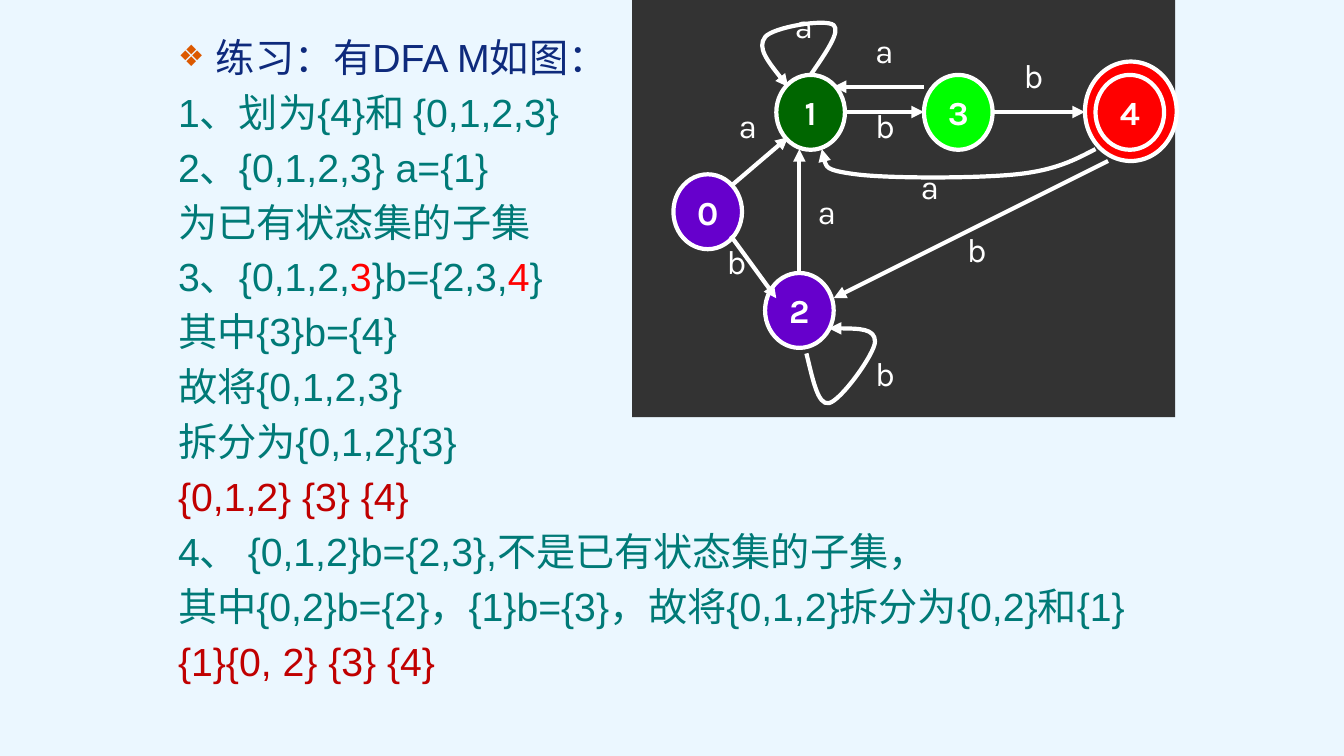
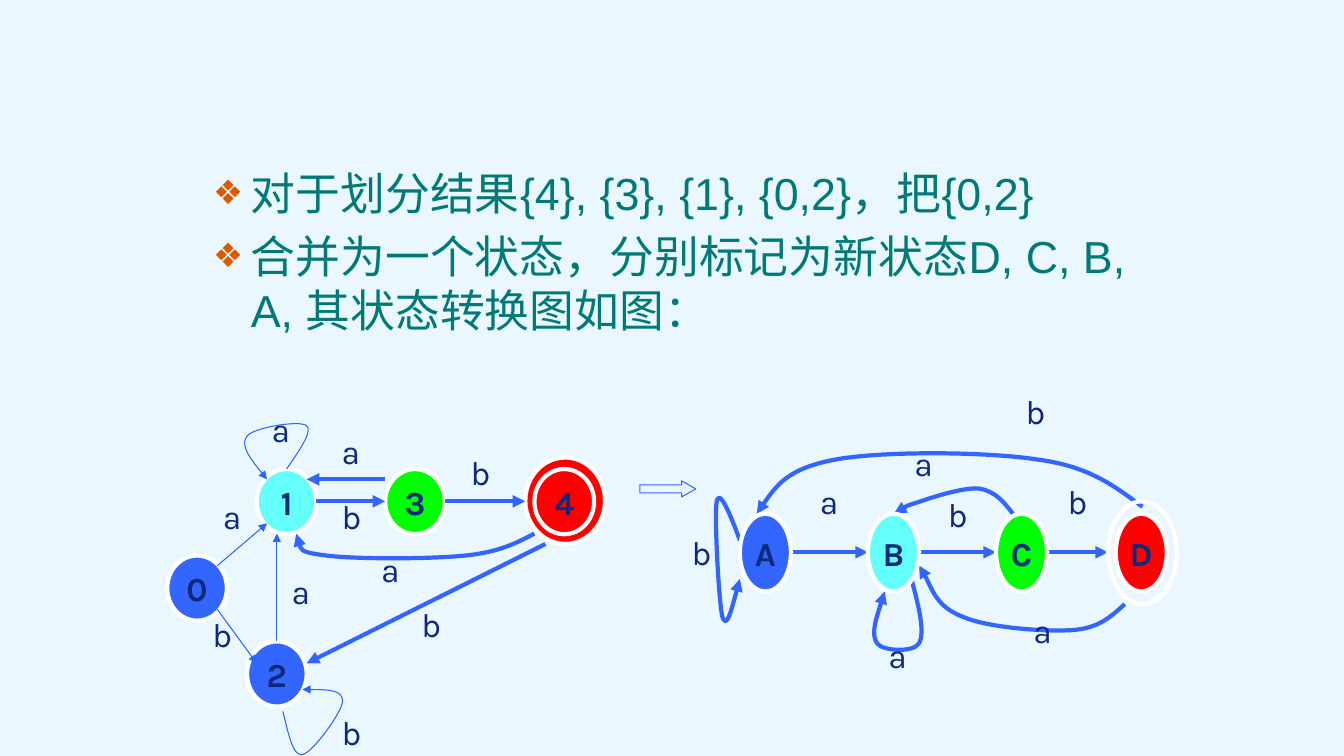
from collections import namedtuple
from dataclasses import dataclass

from lxml.etree import SubElement
from pptx import Presentation
from pptx.dml.color import RGBColor
from pptx.enum.shapes import MSO_CONNECTOR as Wire, MSO_SHAPE as Form
from pptx.enum.text import MSO_ANCHOR as Anchor, MSO_AUTO_SIZE as Fit, PP_ALIGN as Align
from pptx.oxml.ns import qn
from pptx.util import Pt


@dataclass(frozen=True)
class Theme:
    back: str = "EBF7FF"
    panel: str = "333333"
    navy: str = "0E2A7C"
    teal: str = "007A77"
    wine: str = "C00000"
    red: str = "FF0000"
    lime: str = "00FF00"
    green: str = "006600"
    violet: str = "6600CC"
    blue: str = "3366FF"
    deep: str = "2D61FE"
    cyan: str = "64FFFB"
    white: str = "FFFFFF"
    orange: str = "DC5900"
    body: str = "Arial"
    label: str = "Karla"
    small: int = 28
    large: int = 32
    tag: int = 24
    thick: float = 3
    thin: float = 0.75


T = Theme()
rgb = RGBColor.from_string

Page = namedtuple("Page", "box size rows")
State = namedtuple("State", "text hue x y w h")
Link = namedtuple("Link", "thin points")
Mark = namedtuple("Mark", "text mid top")
View = namedtuple("View", "slide items left top scale hues ink fine font")


def trace(shape, colour, width):
    """Style a link as an arrow without shadow."""
    shape.line.color.rgb = rgb(colour)
    shape.line.width = Pt(width)
    props = shape.element.spPr
    SubElement(props.find(qn("a:ln")), qn("a:tailEnd"), type="triangle")
    SubElement(props, qn("a:effectLst"))


def label(shape, text, colour, bold, anchor):
    frame = shape.text_frame
    frame.word_wrap = False
    frame.vertical_anchor = anchor
    frame.text = text
    line = frame.paragraphs[0]
    line.alignment = Align.CENTER
    for run in line.runs:
        run.font.name = T.label
        run.font.size = Pt(T.tag)
        run.font.bold = bold
        run.font.color.rgb = rgb(colour)


# Body text: each row is (bulleted, [(text, colour), ...])
pages = [
    Page((120, 20, 720, 520), T.small, [
        (True, [("练习：有DFA M如图：", T.navy)]),
        (False, [("1、划为{4}和 {0,1,2,3}", T.teal)]),
        (False, [("2、{0,1,2,3} a={1}", T.teal)]),
        (False, [("为已有状态集的子集", T.teal)]),
        (False, [("3、{0,1,2,", T.teal), ("3", T.red), ("}b={2,3,", T.teal),
                 ("4", T.red), ("}", T.teal)]),
        (False, [("其中{3}b={4}", T.teal)]),
        (False, [("故将{0,1,2,3}", T.teal)]),
        (False, [("拆分为{0,1,2}{3}", T.teal)]),
        (False, [("{0,1,2} {3} {4}", T.wine)]),
        (False, [("4、 {0,1,2}b={2,3},不是已有状态集的子集，", T.teal)]),
        (False, [("其中{0,2}b={2}，{1}b={3}，故将{0,1,2}拆分为{0,2}和{1}", T.teal)]),
        (False, [("{1}{0, 2} {3} {4}", T.wine)]),
    ]),
    Page((145, 115, 695, 364), T.large, [
        (True, [("对于划分结果{4}, {3}, {1}, {0,2}，把{0,2}", T.teal)]),
        (True, [("合并为一个状态，分别标记为新状态D, C, B, A, 其状态转换图如图：", T.teal)]),
    ]),
]

deck = Presentation()
deck.slide_width, deck.slide_height = Pt(960), Pt(540)
ground = deck.slide_master.background.fill
ground.solid()
ground.fore_color.rgb = rgb(T.back)

for page in pages:
    slide = deck.slides.add_slide(deck.slide_layouts[1])
    title = slide.shapes.title.element
    title.getparent().remove(title)
    body = slide.placeholders[1]
    body.left, body.top, body.width, body.height = map(Pt, page.box)
    frame = body.text_frame
    frame.auto_size = Fit.NONE
    for i, (dot, pieces) in enumerate(page.rows):
        para = frame.add_paragraph() if i else frame.paragraphs[0]
        para.space_before = Pt(page.size * 0.2 if i else 0)
        props = para._p.get_or_add_pPr()
        props.set("marL", str(Pt(27 if dot else 0)))
        props.set("indent", str(Pt(-27 if dot else 0)))
        if dot:
            tint = SubElement(props, qn("a:buClr"))
            SubElement(tint, qn("a:srgbClr"), val=T.orange)
            SubElement(props, qn("a:buSzPct"), val="75000")
            SubElement(props, qn("a:buChar"), char="❖")
        else:
            SubElement(props, qn("a:buNone"))
        for text, colour in pieces:
            run = para.add_run()
            run.text = text
            run.font.name = T.body
            run.font.size = Pt(page.size)
            run.font.color.rgb = rgb(colour)

first, second = deck.slides

panel = first.shapes.add_shape(Form.RECTANGLE, Pt(451.5), Pt(0), Pt(388), Pt(298))
panel.fill.solid()
panel.fill.fore_color.rgb = rgb(T.panel)
panel.line.fill.background()
panel.shadow.inherit = False

arrow = second.shapes.add_shape(Form.RIGHT_ARROW, Pt(457), Pt(343.5), Pt(40), Pt(11.5))
arrow.adjustments[1] = 0.88
arrow.fill.solid()
arrow.fill.fore_color.rgb = rgb(T.back)
arrow.line.color.rgb = rgb(T.blue)
arrow.line.width = Pt(T.thin)
arrow.shadow.inherit = False

# A link with two points is straight; a longer one is a chain of cubic curves
full = [
    State("", "end", 775, 44, 65.5, 71),
    State("0", "start", 481, 124.5, 49, 53.5),
    State("2", "start", 546.5, 195, 49, 53.5),
    State("3", "next", 660, 53.5, 49, 53.5),
    State("1", "hub", 554.5, 53.5, 49, 53.5),
    State("4", None, 782.5, 53.5, 49, 53.5),
    Link(True, [(522, 133), (563, 98)]),
    Link(True, [(522, 168.5), (554.5, 213)]),
    Link(True, [(571, 195), (571, 106.5)]),
    Link(False, [(603.5, 80), (660, 80)]),
    Link(False, [(709, 80), (775, 80)]),
    Link(False, [(791.5, 115), (595.5, 213)]),
    Link(False, [(660, 62), (595.5, 62)]),
    Link(True, [(579, 53.5), (590, 37.5), (600.5, 22.5), (595.5, 18), (590, 13),
                (551.5, 19.5), (546.5, 26.5), (540.5, 34), (551.5, 48), (563, 62)]),
    Link(False, [(782.5, 106.5), (768, 114), (754.5, 121.5), (726, 124.5), (697, 127.5),
                 (634.5, 127.5), (611.5, 124.5), (588, 121.5), (587.5, 114), (587, 106.5)]),
    Link(True, [(576, 252.5), (580.5, 270.5), (584, 289.5), (592, 288), (600.5, 286.5),
                (625, 252.5), (625, 244), (625, 234.5), (608.5, 234.5), (592, 234.5)]),
    Mark("b", 631.5, 248.5),
    Mark("b", 525.5, 168.5),
    Mark("b", 697, 160),
    Mark("b", 631.5, 71.5),
    Mark("b", 737.5, 35.5),
    Mark("a", 534, 71.5),
    Mark("a", 574, 0),
    Mark("a", 631.5, 18),
    Mark("a", 664, 115),
    Mark("a", 590.5, 133),
]

merged = [
    Link(False, [(565, 394.5), (620, 394.5)]),
    Link(False, [(656.5, 394.5), (711.5, 394.5)]),
    Link(False, [(748, 394.5), (791.5, 394.5)]),
    Link(False, [(528.5, 386), (521.5, 367), (514, 349), (512, 358), (510, 367),
                 (513.5, 431.5), (516, 440.5), (519, 450), (523.5, 431.5), (528.5, 413.5)]),
    Link(False, [(816, 362), (797, 348), (779, 333.5), (742.5, 328.5), (705.5, 322.5),
                 (629.5, 322), (595.5, 328.5), (562.5, 335), (551.5, 350.5), (540.5, 367)]),
    Link(False, [(651, 413.5), (656, 432), (661, 451.5), (656.5, 459.5), (652.5, 466.5),
                 (630, 465), (626.5, 459.5), (622, 453), (627, 438), (632, 422.5)]),
    Link(False, [(803.5, 431.5), (794, 440), (785.5, 448.5), (767, 450), (747.5, 451.5),
                 (705.5, 448.5), (687.5, 440.5), (669, 433.5), (661.5, 410.5), (656.5, 404)]),
    Link(False, [(723.5, 367), (717, 358.5), (710.5, 350.5), (699, 349), (688.5, 348),
                 (666.5, 355), (656.5, 358.5), (646.5, 361.5), (642, 364.5), (638.5, 367)]),
    Mark("a", 592, 340),
    Mark("a", 659.5, 312.5),
    Mark("a", 744.5, 432),
    Mark("a", 641, 450),
    Mark("b", 500.5, 376.5),
    Mark("b", 739, 276),
    Mark("b", 769, 340),
    Mark("b", 683.5, 349),
    State("D", "end", 797, 367, 36.5, 55.5),
    State("A", "start", 528.5, 367, 36.5, 55.5),
    State("C", "next", 711.5, 367, 36.5, 55.5),
    State("B", "hub", 620, 367, 36.5, 55.5),
    State("", None, 791.5, 358, 49, 73.5),
]

dark = {"start": T.violet, "hub": T.green, "next": T.lime, "end": T.red}
light = {"start": T.blue, "hub": T.cyan, "next": T.lime, "end": T.red}
views = [
    View(first, full, 0, 0, 1, dark, T.white, (T.white, T.thick), T.white),
    View(second, full, -299, 288.5, 0.87, light, T.blue, (T.deep, T.thin), T.navy),
    View(second, merged, 0, 0, 1, light, T.blue, (T.blue, T.thick), T.navy),
]

for view in views:
    group = view.slide.shapes.add_group_shape().shapes
    scale = view.scale
    for item in view.items:
        if isinstance(item, State):
            node = group.add_shape(
                Form.OVAL, Pt(view.left + item.x * scale), Pt(view.top + item.y * scale),
                Pt(item.w * scale), Pt(item.h * scale))
            node.shadow.inherit = False
            node.line.color.rgb = rgb(T.white)
            node.line.width = Pt(T.thick)
            if item.hue:
                node.fill.solid()
                node.fill.fore_color.rgb = rgb(view.hues[item.hue])
            else:
                node.fill.background()
            if item.text:
                label(node, item.text, view.font, True, Anchor.MIDDLE)
        elif isinstance(item, Mark):
            mid = view.left + item.mid * scale
            box = group.add_textbox(
                Pt(mid - 13.5), Pt(view.top + item.top * scale), Pt(27), Pt(36))
            label(box, item.text, view.font, False, Anchor.TOP)
        else:
            spots = [(Pt(view.left + x * scale), Pt(view.top + y * scale))
                     for x, y in item.points]
            if len(spots) == 2:
                edge = group.add_connector(Wire.STRAIGHT, *spots[0], *spots[1])
            else:
                pen = group.build_freeform(*spots[0])
                pen.add_line_segments(spots[1:], close=False)
                edge = pen.convert_to_shape()
                edge.fill.background()
                route = edge.element.spPr.find(".//" + qn("a:path"))
                steps = route.findall(qn("a:lnTo"))
                for i in range(0, len(steps), 3):
                    curve = SubElement(route, qn("a:cubicBezTo"))
                    for step in steps[i:i + 3]:
                        curve.append(step[0])
                        route.remove(step)
            trace(edge, *(view.fine if item.thin else (view.ink, T.thick)))

deck.save("out.pptx")
